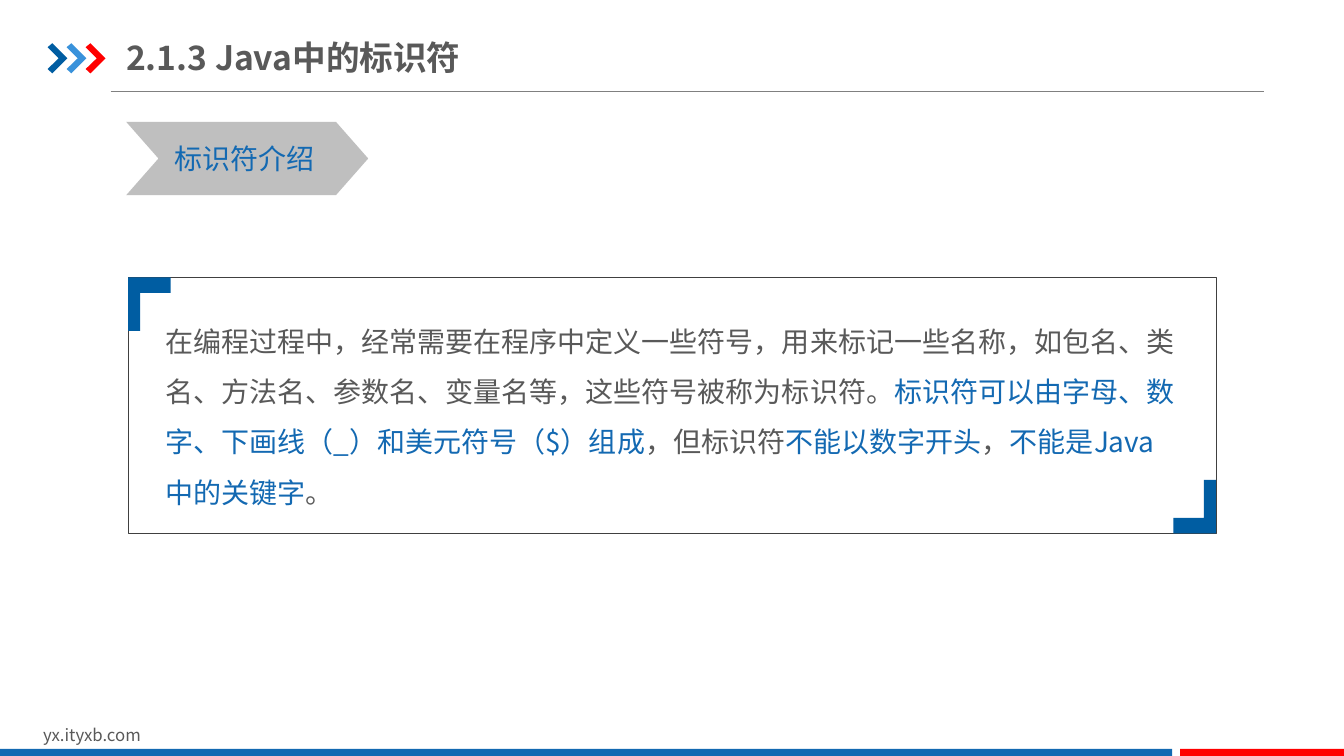
from lxml.etree import SubElement
from pptx import Presentation
from pptx.dml.color import RGBColor
from pptx.enum.shapes import MSO_CONNECTOR, MSO_SHAPE as SHAPE
from pptx.enum.text import MSO_ANCHOR as ANCHOR, MSO_AUTO_SIZE as AUTO
from pptx.oxml.ns import qn
from pptx.util import Cm, Pt

FONT = "Noto Sans CJK SC"
GREY, BLUE, NAVY, SKY, RED = "595959", "1369B2", "005DA2", "3992DB", "FF0000"


def rgb(value):
    """Turn a hex string into a colour."""
    return RGBColor.from_string(value)


def paint(s, fill=None, line=None, width=0.25):
    """Set the fill and outline of a shape and drop its shadow."""
    s.shadow.inherit = False
    if fill:
        s.fill.solid()
        s.fill.fore_color.rgb = rgb(fill)
    else:
        s.fill.background()
    if line:
        s.line.color.rgb = rgb(line)
        s.line.width = Pt(width)
    else:
        s.line.fill.background()


def add_box(slide, kind, box, adj=None, **style):
    """Add a preset shape at box, given in centimetres."""
    s = slide.shapes.add_shape(kind, *map(Cm, box))
    if adj is not None:
        s.adjustments[0] = adj
    paint(s, **style)


def add_polygon(slide, x, y, points, fill, sign=1):
    """Add a closed outline of offsets from x, y; sign -1 turns it half round."""
    pts = [(Cm(x + sign * dx), Cm(y + sign * dy)) for dx, dy in points]
    builder = slide.shapes.build_freeform(*pts[0], scale=1.0)
    builder.add_line_segments(pts[1:], close=True)
    paint(builder.convert_to_shape(), fill)


def add_rule(slide, x1, x2, y):
    """Add the thin horizontal line below the title."""
    s = slide.shapes.add_connector(MSO_CONNECTOR.STRAIGHT, Cm(x1), Cm(y), Cm(x2), Cm(y))
    s.line.color.rgb = rgb("808080")
    s.line.width = Pt(0.75)
    SubElement(s._element.spPr, qn("a:effectLst"))


def add_text(slide, box, runs, size, bold=False, spacing=None, **frame):
    """Add a text box with one paragraph of (text, colour) runs."""
    tf = slide.shapes.add_textbox(*map(Cm, box)).text_frame
    options = {"word_wrap": True, "auto_size": AUTO.SHAPE_TO_FIT_TEXT, **frame}
    for name, value in options.items():
        setattr(tf, name, value)
    p = tf.paragraphs[0]
    if spacing:
        p.line_spacing = spacing
    for text, colour in runs:
        r = p.add_run()
        r.text = text
        for name, value in {"name": FONT, "size": Pt(size), "bold": bold}.items():
            setattr(r.font, name, value)
        r.font.color.rgb = rgb(colour)
        SubElement(r._r.get_or_add_rPr(), qn("a:ea"), typeface=FONT)


def add_header(slide):
    """Draw the three arrows, the title and its rule."""
    add_rule(slide, 2.79, 31.85, 2.31)
    arrow = [(0, 0.1), (0.12, 0), (0.5, 0.38), (0.12, 0.76), (0, 0.65), (0.28, 0.38)]
    for i, colour in enumerate([NAVY, SKY, RED]):
        add_polygon(slide, 1.2 + 0.48 * i, 1.09, arrow, colour)
    add_text(slide, (3.18, 0.74, 10.41, 1.4), [("2.1.3 Java中的标识符", GREY)], 24, bold=True,
             auto_size=AUTO.NONE, vertical_anchor=ANCHOR.MIDDLE, margin_left=0,
             margin_right=0, margin_top=Cm(0.18), margin_bottom=Cm(0.18))


def add_footer(slide):
    """Draw the web address and the two bars at the foot."""
    add_text(slide, (0.84, 18.14, 8.08, 0.76), [("yx.ityxb.com", GREY)], 12)
    for x, width, colour in [(0, 29.54, BLUE), (29.74, 4.13, RED)]:
        add_box(slide, SHAPE.RECTANGLE, (x, 18.87, width, 0.23), fill=colour)


def add_definition(slide, runs):
    """Draw the definition in a frame with two marked corners."""
    x, y, w, h = 3.23, 6.99, 27.41, 6.45
    add_text(slide, (3.91, 7.62, 26.04, 5.38), runs, 20, spacing=1.5)
    add_box(slide, SHAPE.ROUNDED_RECTANGLE, (x, y, w, h), adj=0, line="404040")
    corner = [(0, 0), (1.07, 0), (1.07, 0.39), (0.3, 0.39), (0.3, 1.35), (0, 1.35)]
    add_polygon(slide, x, y, corner, NAVY)
    add_polygon(slide, x + w, y + h, corner, NAVY, sign=-1)


def main():
    """Build the slide and save it."""
    prs = Presentation()
    prs.slide_width, prs.slide_height = Cm(33.87), Cm(19.05)
    slide = prs.slides.add_slide(prs.slide_layouts[6])
    add_header(slide)
    add_footer(slide)
    add_box(slide, SHAPE.CHEVRON, (3.18, 3.07, 6.1, 1.85), adj=0.44, fill="BFBFBF")
    add_text(slide, (4.14, 3.45, 4.04, 1.12), [("标识符介绍", BLUE)], 20, word_wrap=False)
    add_definition(slide, [
        ("在编程过程中，经常需要在程序中定义一些符号，用来标记一些名称，如包名、类名、"
         "方法名、参数名、变量名等，这些符号被称为标识符。", GREY),
        ("标识符可以由字母、数字、下画线（_）和美元符号（$）组成", BLUE),
        ("，但标识符", GREY),
        ("不能以数字开头", BLUE),
        ("，", GREY),
        ("不能是Java中的关键字", BLUE),
        ("。", GREY),
    ])
    prs.save("out.pptx")


if __name__ == "__main__":
    main()
